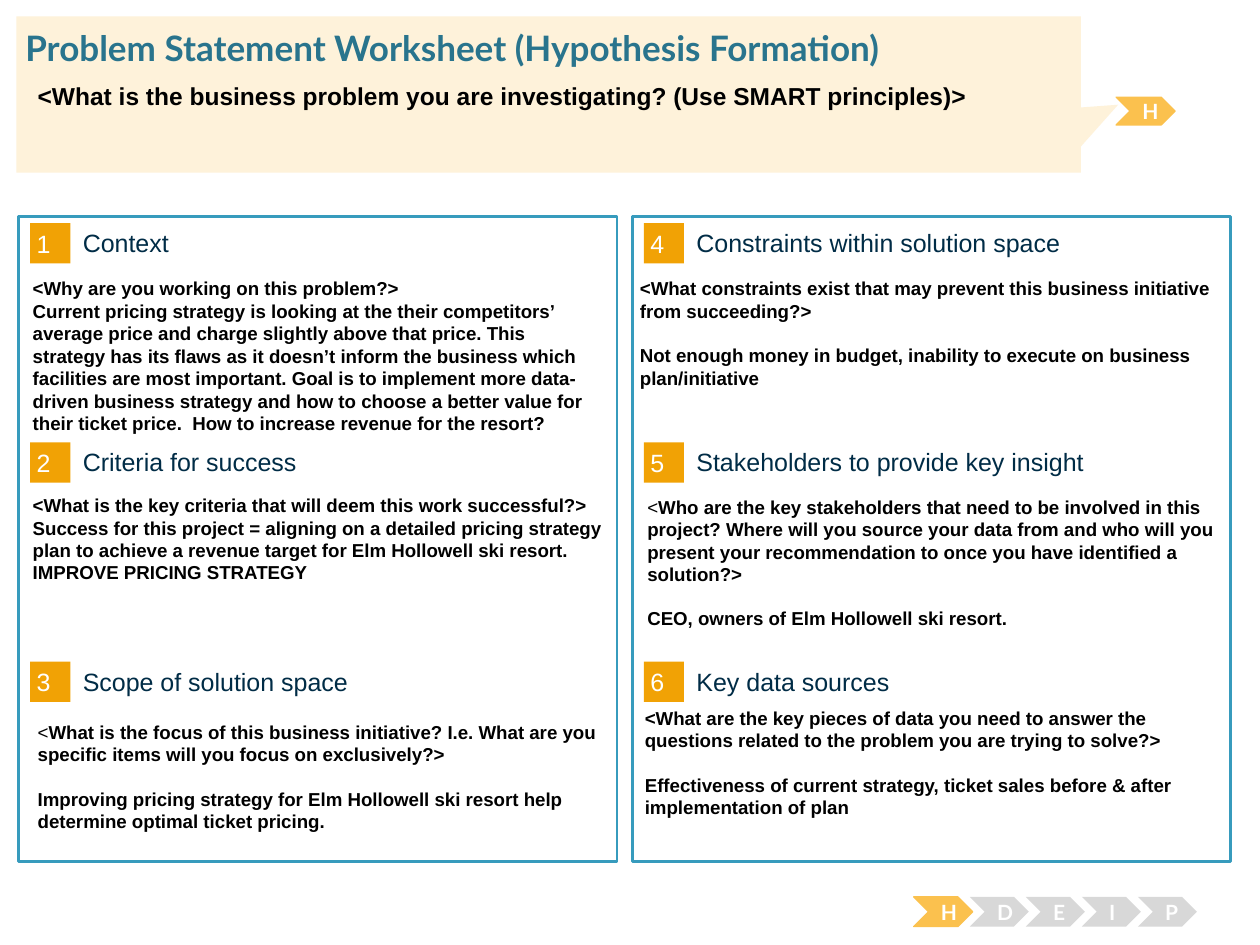
from collections import namedtuple
from dataclasses import dataclass

from pptx import Presentation
from pptx.dml.color import RGBColor
from pptx.enum.shapes import MSO_SHAPE as Preset
from pptx.enum.text import MSO_ANCHOR as Anchor, MSO_AUTO_SIZE as AutoSize, PP_ALIGN as Align
from pptx.util import Cm, Pt

Box = namedtuple("Box", "left top width height")
Section = namedtuple("Section", "heading dx dy height paragraphs plain_bracket gap",
                     defaults=(False, True))


@dataclass(frozen=True)
class Theme:
    title: str = "29748D"
    callout: str = "FEF2DA"
    frame: str = "379BBD"
    badge: str = "F1A205"
    heading: str = "002C46"
    active: str = "FBC14E"
    idle: str = "D8D8D8"
    white: str = "FFFFFF"
    black: str = "000000"
    text_font: str = "Arial"
    title_font: str = "Lato"
    title_size: float = 20
    question_size: float = 14
    heading_size: float = 14.3
    body_size: float = 10.7
    step_size: float = 12
    gap: float = 12.5


THEME = Theme()
ROW_PITCH = 4.42
STEP_PITCH = 1.13
STEPS = "HDEIP"
PANELS = [
    (Box(0.38, 4.37, 12.06, 13), 1, [
        Section("Context", 0.03, 1.09, 3.45, [
            "<Why are you working on this problem?>",
            "Current pricing strategy is looking at the their competitors’ average price and "
            "charge slightly above that price. This strategy has its flaws as it doesn’t inform "
            "the business which facilities are most important. Goal is to implement more "
            "data-driven business strategy and how to choose a better value for their ticket "
            "price.  How to increase revenue for the resort?"], gap=False),
        Section("Criteria for success", 0.03, 1.04, 3.91, [
            "<What is the key criteria that will deem this work successful?>",
            "Success for this project = aligning on a detailed pricing strategy plan to achieve "
            "a revenue target for Elm Hollowell ski resort.",
            "IMPROVE PRICING STRATEGY"], gap=False),
        Section("Scope of solution space", 0.13, 1.19, 2.08, [
            "<What is the focus of this business initiative? I.e. What are you specific items "
            "will you focus on exclusively?>",
            "Improving pricing strategy for Elm Hollowell ski resort help determine optimal "
            "ticket pricing."], plain_bracket=True),
    ]),
    (Box(12.75, 4.37, 12.06, 13), 4, [
        Section("Constraints within solution space", -0.1, 1.09, 3, [
            "<What constraints exist that may prevent this business initiative from succeeding?>",
            "Not enough money in budget, inability to execute on business plan/initiative"]),
        Section("Stakeholders to provide key insight", 0.05, 1.07, 3, [
            "<Who are the key stakeholders that need to be involved in this project? Where will "
            "you source your data from and who will you present your recommendation to once you "
            "have identified a solution?>",
            "CEO, owners of Elm Hollowell ski resort."], plain_bracket=True),
        Section("Key data sources", 0, 0.91, 3, [
            "<What are the key pieces of data you need to answer the questions related to the "
            "problem you are trying to solve?>",
            "Effectiveness of current strategy, ticket sales before & after implementation of "
            "plan"]),
    ]),
]


def lengths(box):
    return [Cm(value) for value in box]


def style_run(run, size, color, font=THEME.text_font, bold=False):
    run.font.size = Pt(size)
    run.font.name = font
    run.font.bold = bold
    run.font.color.rgb = RGBColor.from_string(color)


def set_frame(shape, margin_x, margin_y, anchor=Anchor.TOP):
    frame = shape.text_frame
    frame.word_wrap = True
    frame.auto_size = AutoSize.NONE
    frame.vertical_anchor = anchor
    frame.margin_left = frame.margin_right = Cm(margin_x)
    frame.margin_top = frame.margin_bottom = Cm(margin_y)
    return frame


def add_block(page, preset, box, fill, line=None, weight=0.75):
    shape = page.shapes.add_shape(preset, *lengths(box))
    shape.shadow.inherit = False
    shape.fill.solid()
    shape.fill.fore_color.rgb = RGBColor.from_string(fill)
    if line:
        shape.line.color.rgb = RGBColor.from_string(line)
        shape.line.width = Pt(weight)
    else:
        shape.line.fill.background()
    return shape


def set_line(frame, text, *style, align=Align.LEFT, **options):
    """Fill a frame with one formatted line of text."""
    frame.text = text
    para = frame.paragraphs[0]
    para.alignment = align
    style_run(para.runs[0], *style, **options)


def add_step(page, box, letter, active):
    fill = THEME.active if active else THEME.idle
    shape = add_block(page, Preset.CHEVRON, box, fill, fill if active else None)
    set_line(set_frame(shape, 0.25, 0.13, Anchor.MIDDLE), letter, THEME.step_size,
             THEME.white, THEME.title_font, bold=True, align=Align.CENTER)


def add_header(page, box):
    add_step(page, Box(box.left + 22.17, box.top + 1.63, 1.19, 0.56), STEPS[0], True)
    callout = add_block(page, Preset.RECTANGULAR_CALLOUT, box, THEME.callout)
    callout.adjustments[0], callout.adjustments[1] = 0.535, 0.066

    title = page.shapes.title
    title.left, title.top, title.width, title.height = lengths(
        Box(box.left + 0.18, box.top + 0.2, 24.43, 0.86))
    set_line(set_frame(title, 0, 0), "Problem Statement Worksheet (Hypothesis Formation)",
             THEME.title_size, THEME.title, THEME.title_font, bold=True)
    callout.element.addnext(title.element)  # keep the title in front of the callout

    question = page.shapes.add_textbox(
        *lengths(Box(box.left + 0.18, box.top + 1.17, 23.85, 1.37)))
    set_line(set_frame(question, 0.25, 0.13),
             "<What is the business problem you are investigating? (Use SMART principles)>",
             THEME.question_size, THEME.black, bold=True)


def add_section(page, box, number, section):
    badge = add_block(page, Preset.RECTANGLE,
                      Box(box.left + 0.23, box.top + 0.13, 0.81, 0.81), THEME.badge)
    set_line(set_frame(badge, 0.13, 0.13, Anchor.MIDDLE), str(number),
             THEME.heading_size, THEME.white)
    heading = page.shapes.add_textbox(*lengths(Box(box.left + 1.29, box.top + 0.2, 9.98, 0.64)))
    set_line(set_frame(heading, 0, 0, Anchor.MIDDLE), section.heading,
             THEME.heading_size, THEME.heading)

    body = page.shapes.add_textbox(*lengths(
        Box(box.left + section.dx, box.top + section.dy, box.width - 0.05, section.height)))
    frame = set_frame(body, 0.25, 0.13)
    frame.text = "\n".join(section.paragraphs)
    first = frame.paragraphs[0]
    if section.plain_bracket:
        first.text = "<"
        first.add_run().text = section.paragraphs[0][1:]
    for para in frame.paragraphs:
        for run in para.runs:
            style_run(run, THEME.body_size, THEME.black, bold=run.text != "<")
    if section.gap:
        frame.paragraphs[1].space_before = Pt(THEME.gap)


def add_panel(page, box, first_number, sections):
    add_block(page, Preset.RECTANGLE, box, THEME.white, THEME.frame, 1.5)
    for row, section in enumerate(sections):
        row_box = Box(box.left, box.top + row * ROW_PITCH, box.width, ROW_PITCH)
        add_section(page, row_box, first_number + row, section)


def add_step_tracker(page, box):
    for index, letter in enumerate(STEPS):
        step_box = Box(box.left + index * STEP_PITCH, box.top, 1.19, box.height)
        add_step(page, step_box, letter, active=index == 0)


def main():
    deck = Presentation()
    deck.slide_width, deck.slide_height = Cm(25.4), Cm(19.05)
    page = deck.slides.add_slide(deck.slide_layouts.get_by_name("Title Only"))
    for box, first_number, sections in PANELS:
        add_panel(page, box, first_number, sections)
    add_step_tracker(page, Box(18.42, 18.08, 5.71, 0.6))
    add_header(page, Box(0.33, 0.33, 21.46, 3.15))
    deck.save("out.pptx")


if __name__ == "__main__":
    main()
